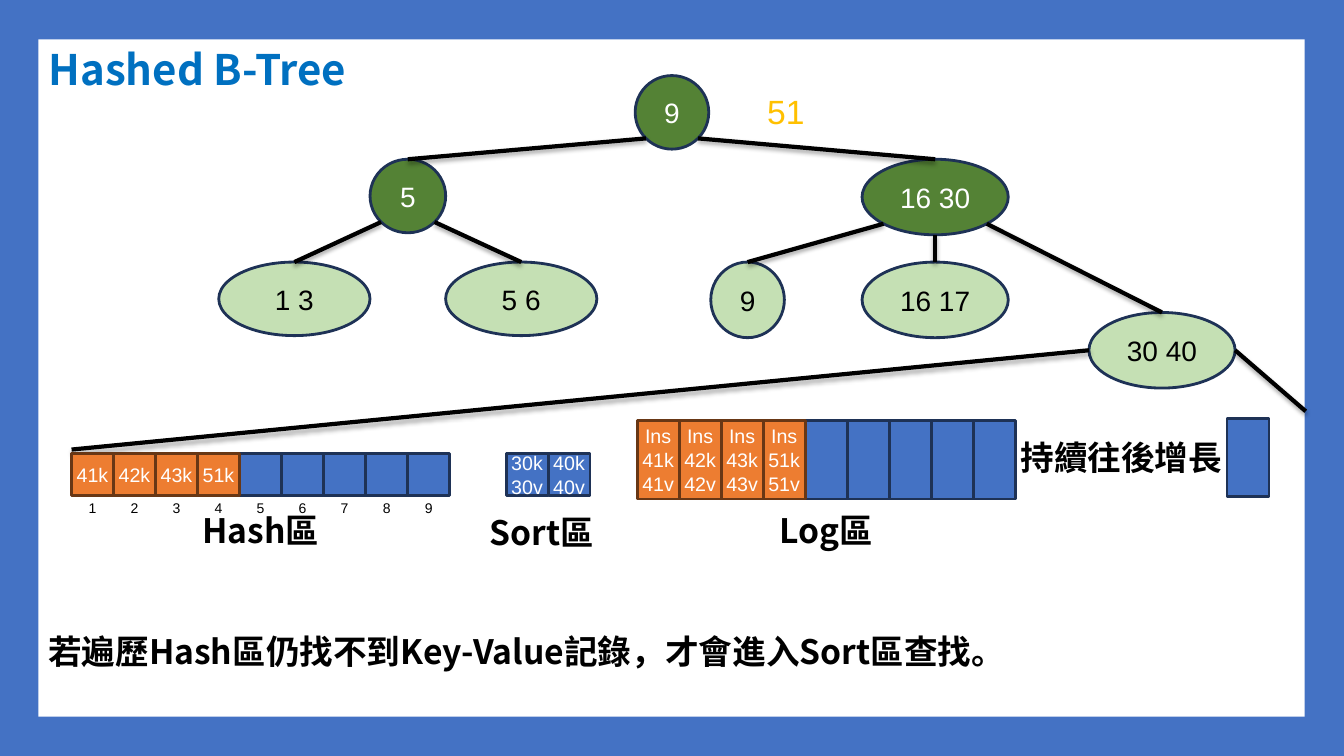
from math import cos, radians, sin

from lxml.etree import SubElement
from pptx import Presentation
from pptx.dml.color import RGBColor
from pptx.enum.shapes import MSO_CONNECTOR, MSO_SHAPE
from pptx.enum.text import MSO_ANCHOR, MSO_AUTO_SIZE, PP_ALIGN
from pptx.oxml.ns import qn
from pptx.util import Inches, Pt

BLUE = RGBColor(0x44, 0x72, 0xC4)
NAVY = RGBColor(0x1E, 0x32, 0x56)
ORANGE = RGBColor(0xED, 0x7D, 0x31)
BROWN = RGBColor(0x68, 0x37, 0x15)
DARK_GREEN = RGBColor(0x54, 0x82, 0x35)
LIGHT_GREEN = RGBColor(0xC5, 0xE0, 0xB4)
TITLE_BLUE = RGBColor(0x00, 0x70, 0xC0)
GOLD = RGBColor(0xFF, 0xC0, 0x00)
BLACK = RGBColor(0x00, 0x00, 0x00)
WHITE = RGBColor(0xFF, 0xFF, 0xFF)

SANS = "Arial"
CJK = "Noto Sans CJK TC"
CELL = 3.75 / 9
HASH_LEFT, HASH_TOP = 0.71, 4.5
SORT_LEFT = 5.02
LOG_LEFT, LOG_TOP, LOG_HEIGHT = 6.32, 4.17, 0.78

# name: (text, left, top, width, height, fill, font colour)
NODES = {
    "root": ("9", 6.3, 0.75, 0.73, 0.73, DARK_GREEN, WHITE),
    "right": ("16 30", 8.55, 1.58, 1.45, 0.75, DARK_GREEN, WHITE),
    "left": ("5", 3.67, 1.58, 0.75, 0.73, DARK_GREEN, WHITE),
    "leaf 1": ("1 3", 2.17, 2.6, 1.5, 0.73, LIGHT_GREEN, BLACK),
    "leaf 2": ("5 6", 4.42, 2.6, 1.5, 0.73, LIGHT_GREEN, BLACK),
    "leaf 3": ("9", 7.05, 2.6, 0.73, 0.75, LIGHT_GREEN, BLACK),
    "leaf 4": ("16 17", 8.55, 2.6, 1.45, 0.75, LIGHT_GREEN, BLACK),
    "leaf 5": ("30 40", 10.8, 3.1, 1.45, 0.75, LIGHT_GREEN, BLACK),
}
# parent, child, angle on the parent's rim measured from straight down
EDGES = [
    ("left", "leaf 2", 45), ("left", "leaf 1", -45),
    ("root", "left", -45), ("root", "right", 45),
    ("right", "leaf 3", -45), ("right", "leaf 4", 0), ("right", "leaf 5", 45),
]


def write(shape, text, size, color, font=SANS, bold=False,
          align=PP_ALIGN.CENTER, anchor=MSO_ANCHOR.MIDDLE, wrap=False):
    frame = shape.text_frame
    frame.text = text
    frame_format = {"word_wrap": wrap, "vertical_anchor": anchor,
                    "auto_size": MSO_AUTO_SIZE.NONE}
    for name, value in frame_format.items():
        setattr(frame, name, value)
    for para in frame.paragraphs:
        para.alignment = align
        for span in para.runs:
            for name, value in {"name": font, "size": Pt(size), "bold": bold}.items():
                setattr(span.font, name, value)
            span.font.color.rgb = color
            if font == CJK:
                SubElement(span.font._element, qn("a:ea"), typeface=CJK)


def add_box(page, kind, left, top, width, height, fill, line=None):
    shape = page.shapes.add_shape(
        kind, Inches(left), Inches(top), Inches(width), Inches(height))
    shape.shadow.inherit = False
    shape.fill.solid()
    shape.fill.fore_color.rgb = fill
    if line is None:
        shape.line.fill.background()
    else:
        shape.line.color.rgb = line
        shape.line.width = Pt(2)
    return shape


def add_label(page, text, left, top, width, height, size=24, color=BLACK, **text_format):
    box = page.shapes.add_textbox(
        Inches(left), Inches(top), Inches(width), Inches(height))
    write(box, text, size, color, anchor=MSO_ANCHOR.TOP, **text_format)


def add_node(page, text, left, top, width, height, fill, color):
    node = add_box(page, MSO_SHAPE.OVAL, left, top, width, height, fill, NAVY)
    write(node, text, 20, color)
    return node


def add_cells(page, left, top, height, texts, used):
    """Draw a row of cells from right to left; the first `used` are orange."""
    for index, text in reversed(list(enumerate(texts))):
        fill, line = (ORANGE, BROWN) if index < used else (BLUE, NAVY)
        cell = add_box(page, MSO_SHAPE.RECTANGLE, left + index * CELL, top,
                       CELL, height, fill, line)
        if text:
            write(cell, text, 14, WHITE)


def rim_point(node, angle):
    """Point on an oval's rim, with the angle counted from straight down."""
    turn = radians(angle)
    return (int(node.left + node.width / 2 * (1 + sin(turn))),
            int(node.top + node.height / 2 * (1 + cos(turn))))


def add_edge(page, start, end):
    edge = page.shapes.add_connector(MSO_CONNECTOR.STRAIGHT, *start, *end)
    edge.line.color.rgb = BLACK
    edge.line.width = Pt(3)
    effects = SubElement(edge._element.spPr, qn("a:effectLst"))
    shadow = SubElement(effects, qn("a:outerShdw"), blurRad="40000", dist="23000",
                        dir="5400000", rotWithShape="0")
    shade = SubElement(shadow, qn("a:srgbClr"), val="000000")
    SubElement(shade, qn("a:alpha"), val="35000")
    return edge


def add_frame(page):
    for left, top, width, height in [(12.94, 0, 0.39, 7.5), (0, 0, 13.33, 0.39),
                                     (0, 7.11, 13.33, 0.39), (0, 0, 0.38, 7.5)]:
        add_box(page, MSO_SHAPE.RECTANGLE, left, top, width, height, BLUE)


def add_title(page, text):
    title = page.shapes.title
    place = {"left": 0.38, "top": 0.38, "width": 12.57, "height": 0.61}
    for name, value in place.items():
        setattr(title, name, Inches(value))
    write(title, text, 30, TITLE_BLUE, font=CJK, bold=True, align=PP_ALIGN.LEFT, wrap=True)


def add_tree(page):
    nodes = {name: add_node(page, *values) for name, values in NODES.items()}
    for parent, child, angle in EDGES:
        edge = add_edge(page, rim_point(nodes[parent], angle),
                        rim_point(nodes[child], 180))
        edge.end_connect(nodes[child], 0)
    opened = nodes["leaf 5"]
    add_edge(page, rim_point(opened, -90), (Inches(HASH_LEFT), Inches(4.46)))
    add_edge(page, rim_point(opened, 90), (Inches(12.95), Inches(4.08)))
    add_label(page, "51", 7.51, 0.85, 0.58, 0.5, color=GOLD, align=PP_ALIGN.LEFT)


def add_storage(page):
    keys = ["41", "42", "43", "51"]
    free = [""] * 5
    add_cells(page, HASH_LEFT, HASH_TOP, CELL, [f"{key}k" for key in keys] + free, len(keys))
    add_cells(page, SORT_LEFT, HASH_TOP, CELL, ["30k\n30v", "40k\n40v"], 0)
    add_cells(page, LOG_LEFT, LOG_TOP, LOG_HEIGHT,
              [f"Ins\n{key}k\n{key}v" for key in keys] + free, len(keys))
    add_cells(page, 12.17, 4.15, LOG_HEIGHT, [""], 0)
    for index in range(9):
        add_label(page, str(index + 1), HASH_LEFT + index * CELL, 4.91, CELL, CELL, size=10)

    heading = {"font": CJK, "bold": True, "wrap": True}
    add_label(page, "Hash區", HASH_LEFT, 5.01, 3.75, 0.5, **heading)
    add_label(page, "Sort區", 4.71, 5.03, 1.33, 0.5, **heading)
    add_label(page, "Log區", LOG_LEFT, 5.01, 3.75, 0.5, **heading)
    add_label(page, "持續往後增長", 7.48, 4.29, 4.74, 0.5, align=PP_ALIGN.RIGHT, **heading)
    add_label(page, "若遍歷Hash區仍找不到Key-Value記錄，才會進入Sort區查找。",
              0.38, 6.21, 12.56, 0.5, align=PP_ALIGN.LEFT, **heading)


def main():
    deck = Presentation()
    deck.slide_width = Inches(13.33)
    deck.slide_height = Inches(7.5)
    page = deck.slides.add_slide(deck.slide_layouts[5])
    add_frame(page)
    add_title(page, "Hashed B-Tree")
    add_tree(page)
    add_storage(page)
    deck.save("out.pptx")


if __name__ == "__main__":
    main()
